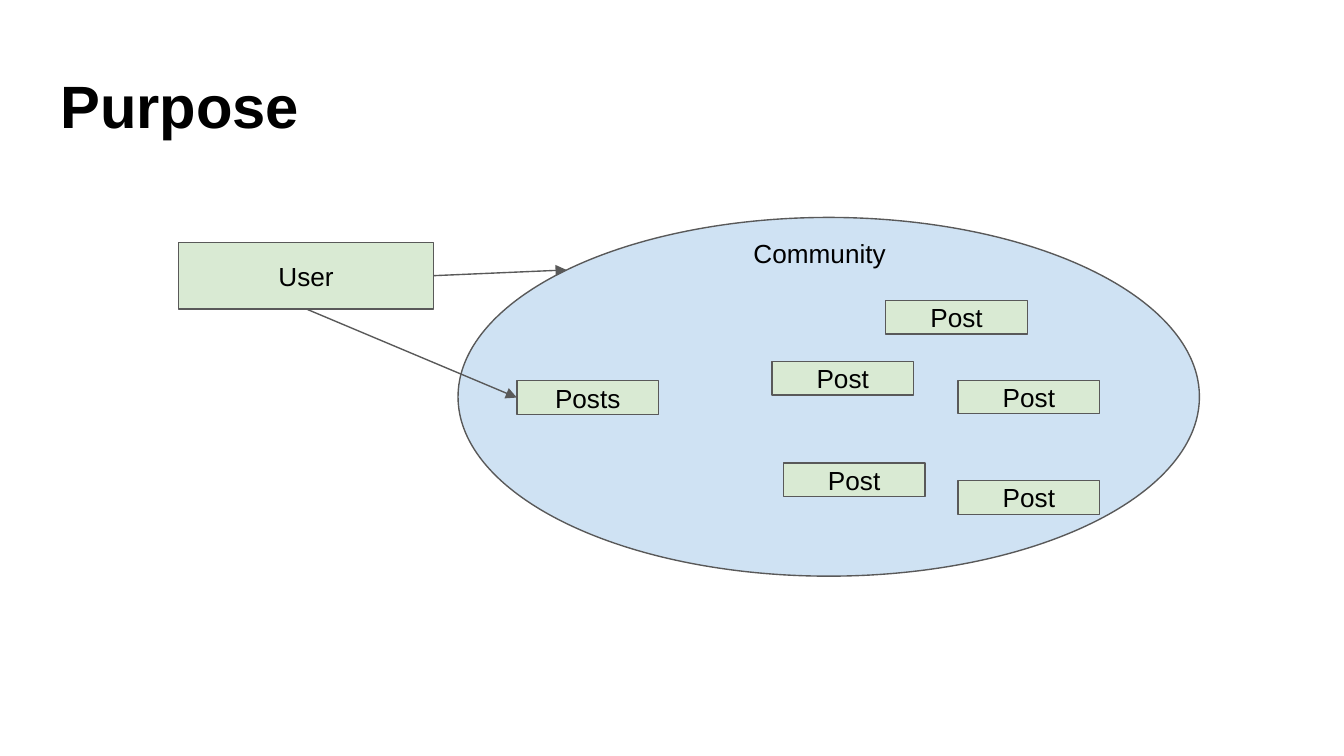
from math import cos, pi, sin

from lxml.etree import SubElement
from pptx import Presentation
from pptx.dml.color import RGBColor
from pptx.enum.shapes import MSO_CONNECTOR, MSO_SHAPE
from pptx.enum.text import MSO_ANCHOR, PP_ALIGN
from pptx.oxml.ns import qn
from pptx.util import Pt

BLACK = RGBColor(0x00, 0x00, 0x00)
GRAY = RGBColor(0x59, 0x59, 0x59)
BLUE = RGBColor(0xCF, 0xE2, 0xF3)
GREEN = RGBColor(0xD9, 0xEA, 0xD3)

# Left, top, width, height in points
TITLE = ("Purpose", (25.2, 21.6, 367.2, 69.1))
COMMUNITY = ("Community", (383, 120.2, 112.3, 29.5))
COMMUNITY_AREA = (245.4, 116.5, 397.2, 192.2)
USER = ("User", (95.7, 129.9, 136.6, 35.6))
POST_SIZE = (76, 18)
OWN_POSTS = ("Posts", (276.9, 204))
OTHER_POSTS = [(474.5, 161), (419.6, 248), (513.2, 203.7), (413.5, 193.6), (513.2, 257.5)]

BOX_INSET = 7.2
LINE_WIDTH = 0.75
LABEL_SIZE = 14

deck = Presentation()
deck.slide_width, deck.slide_height = Pt(720), Pt(405)
slide = deck.slides.add_slide(deck.slide_layouts[6])


def points(values):
    return [Pt(value) for value in values]


def write(shape, text, size=LABEL_SIZE, bold=False, align=PP_ALIGN.CENTER, anchor=MSO_ANCHOR.MIDDLE):
    frame = shape.text_frame
    frame_format = {"word_wrap": True, "vertical_anchor": anchor}
    for side in ("left", "top", "right", "bottom"):
        frame_format[f"margin_{side}"] = Pt(BOX_INSET)
    for name, value in frame_format.items():
        setattr(frame, name, value)
    paragraph = frame.paragraphs[0]
    paragraph.alignment = align
    run = paragraph.add_run()
    run.text = text
    for name, value in {"name": "Arial", "size": Pt(size), "bold": bold}.items():
        setattr(run.font, name, value)
    run.font.color.rgb = BLACK


def outline(line):
    line.color.rgb = GRAY
    line.width = Pt(LINE_WIDTH)


def add_outlined(kind, place, fill):
    shape = slide.shapes.add_shape(kind, *points(place))
    shape.shadow.inherit = False
    shape.fill.solid()
    shape.fill.fore_color.rgb = fill
    outline(shape.line)
    return shape


def add_box(text, place):
    box = add_outlined(MSO_SHAPE.RECTANGLE, place, GREEN)
    write(box, text)
    return box


def add_arrow(start, end):
    arrow = slide.shapes.add_connector(MSO_CONNECTOR.STRAIGHT, *points(start + end))
    outline(arrow.line)
    SubElement(arrow.line._get_or_add_ln(), qn("a:tailEnd"), type="triangle")
    SubElement(arrow._element.spPr, qn("a:effectLst"))
    return arrow


def add_text(text, place, **text_format):
    write(slide.shapes.add_textbox(*points(place)), text, **text_format)


add_outlined(MSO_SHAPE.OVAL, COMMUNITY_AREA, BLUE)
add_text(*COMMUNITY, anchor=MSO_ANCHOR.TOP)
add_text(*TITLE, size=32, bold=True, align=PP_ALIGN.LEFT)

user = add_box(*USER)
posts_text, posts_corner = OWN_POSTS
own_posts = add_box(posts_text, posts_corner + POST_SIZE)
for corner in OTHER_POSTS:
    add_box("Post", corner + POST_SIZE)

# The first arrow meets the oval at its upper-left diagonal point
left, top, width, height = COMMUNITY_AREA
oval_edge = (left + width / 2 * (1 - cos(pi / 4)), top + height / 2 * (1 - sin(pi / 4)))
user_left, user_top, user_width, user_height = USER[1]
add_arrow((user_left + user_width, user_top + user_height / 2), oval_edge)

user_bottom = (user_left + user_width / 2, user_top + user_height)
posts_side = (posts_corner[0], posts_corner[1] + POST_SIZE[1] / 2)
to_posts = add_arrow(user_bottom, posts_side)
to_posts.begin_connect(user, 2)
to_posts.end_connect(own_posts, 1)

deck.save("out.pptx")
